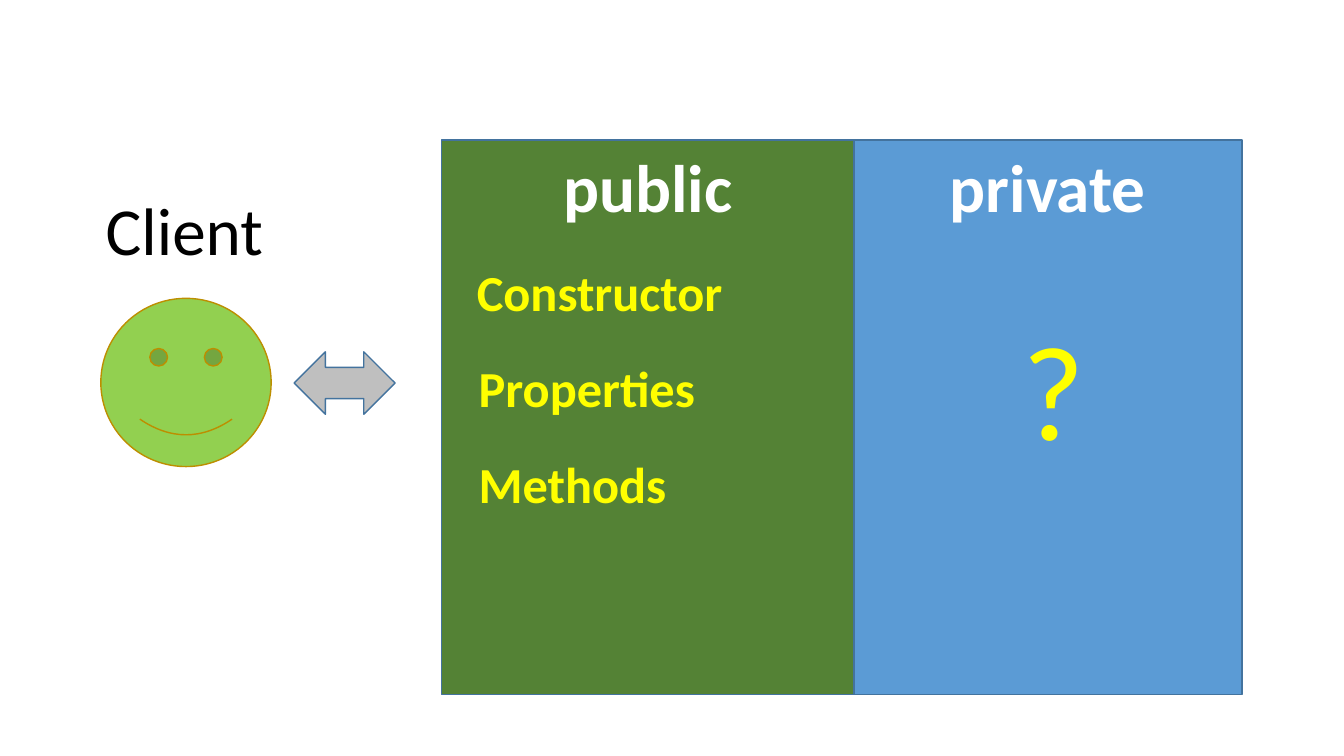
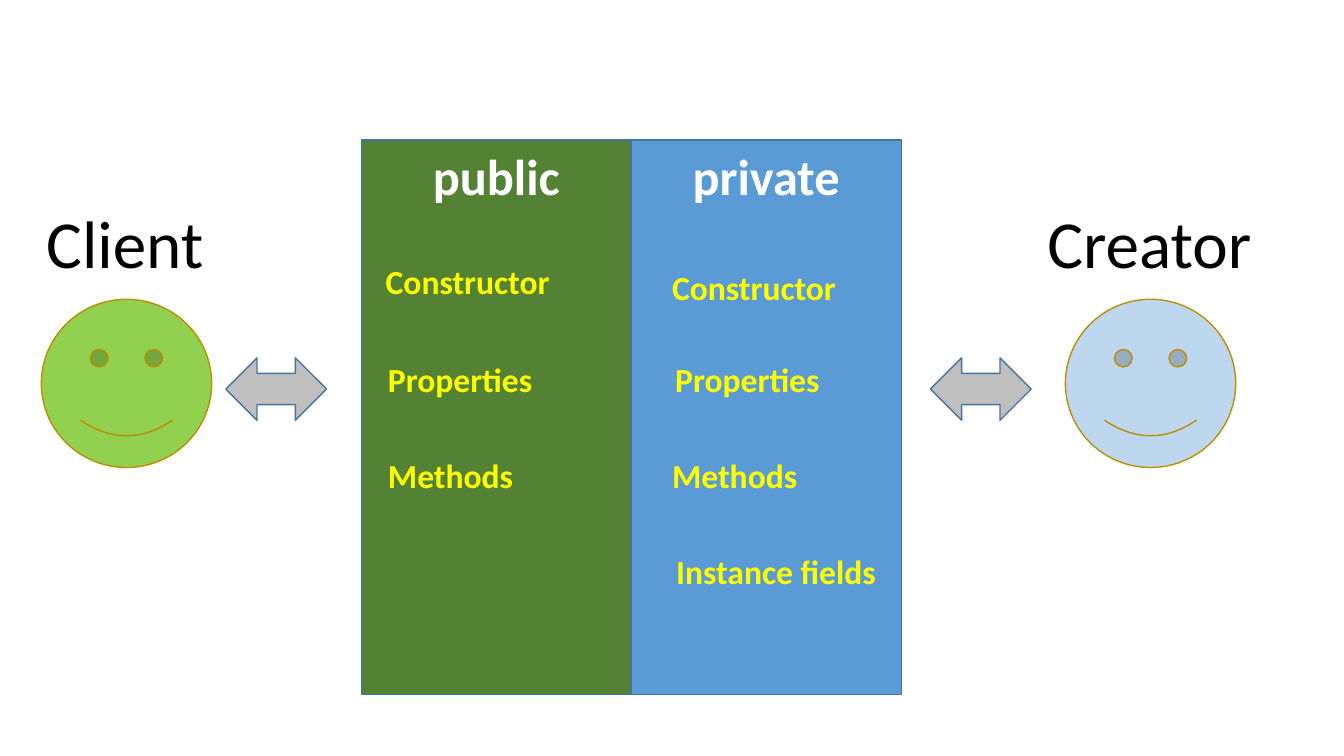
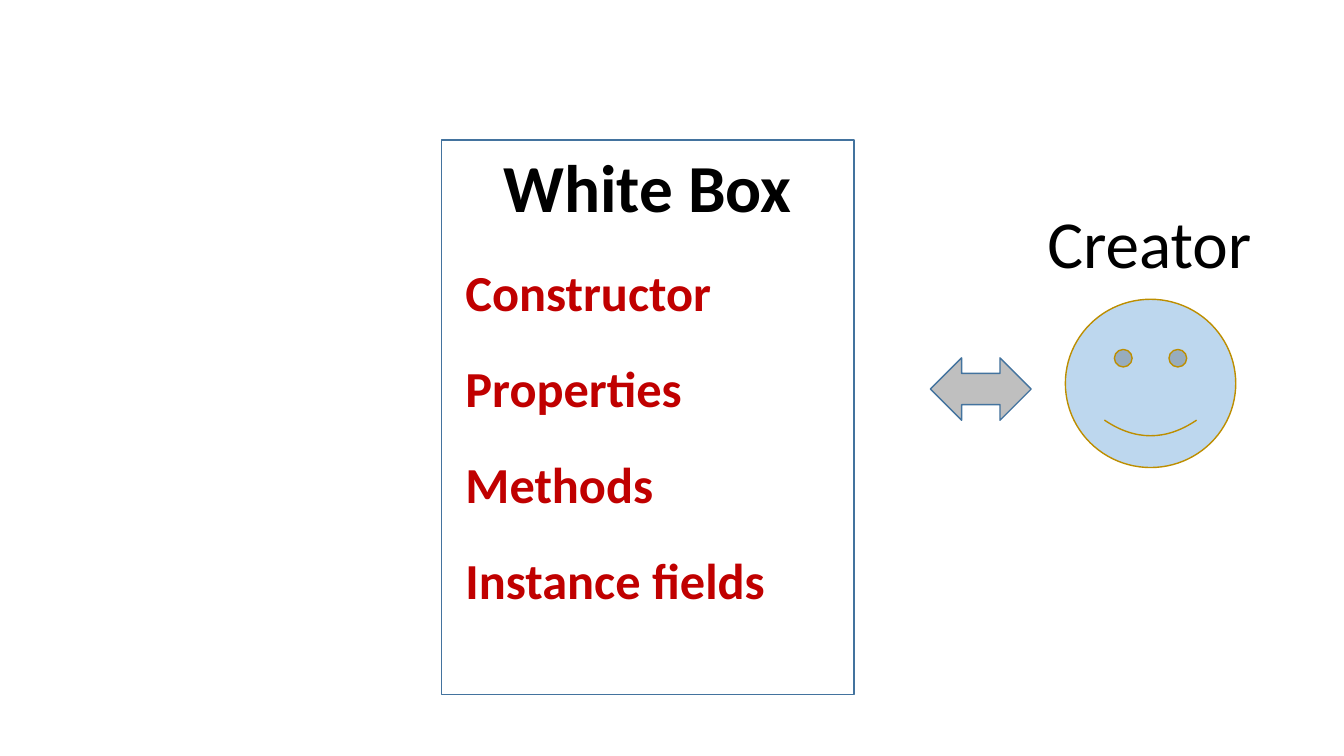
from pptx import Presentation
from pptx.dml.color import RGBColor
from pptx.enum.shapes import MSO_SHAPE
from pptx.enum.text import MSO_ANCHOR, MSO_AUTO_SIZE, PP_ALIGN
from pptx.util import Pt

COLORS = {
    "public": "548235", "private": "5B9BD5", "outline": "43739E",
    "client": "92D050", "creator": "BDD7EE", "face_line": "BD8E00",
    "arrow": "BFBFBF", "white": "FFFFFF", "black": "000000",
    "yellow": "FFFF00", "red": "C00000",
}
FONT = "Calibri"
PANEL_TOP, PANEL_HEIGHT = 100, 396
FACE_SIZE = (121.7, 120.2)
ARROW_SIZE = (72, 44.6)

# Text widths in ems, so a box can be sized for any font size
EMS = {"Constructor": 4.94, "Properties": 4.35, "Methods": 3.78,
       "Instance fields": 6.15, "Client": 2.37, "Creator": 3.08, "?": 1.02}

# Person: name, fill, then left and top of face, label and arrow
CREATOR = ("Creator", "creator", (761, 213.8), (741, 140.4), (664.6, 255.6))

# Panel: title, fill, left, width, title colour
# Member: text, left, top
SLIDES = [
    {
        "title_size": 48, "member_size": 36, "member_color": "yellow",
        "panels": [("public", "public", 315.4, 294.5, "white"),
                   ("private", "private", 609.9, 277.2, "white")],
        "people": [("Client", "client", (72, 213.1), (68.4, 131), (210.2, 251.3))],
        "members": [("Constructor", 333.5, 182.9), ("Properties", 334.8, 251.3),
                    ("Methods", 334.8, 319.9)],
        "question": (723.6, 215.3),
    },
    {
        "title_size": 36, "member_size": 24, "member_color": "yellow",
        "panels": [("public", "public", 258.3, 192.5, "white"),
                   ("private", "private", 450.8, 193, "white")],
        "people": [("Client", "client", (29.5, 213.8), (25.9, 140.4), (161.3, 255.6)),
                   CREATOR],
        "members": [("Constructor", 268.4, 182.9), ("Properties", 270, 252.7),
                    ("Methods", 270, 321.3),
                    ("Constructor", 473, 187.2), ("Properties", 475.2, 252.7),
                    ("Methods", 473, 321.3), ("Instance fields", 475.9, 390.2)],
    },
    {
        "title_size": 48, "member_size": 36, "member_color": "red",
        "panels": [("White Box", None, 315.4, 294.5, "black")],
        "people": [CREATOR],
        "members": [(text, 325.4, 182.9 + 68.6 * i) for i, text in enumerate(
            ["Constructor", "Properties", "Methods", "Instance fields"])],
    },
]


def add_filled(s, preset, position, size, fill, line):
    sp = s.shapes.add_shape(preset, *map(Pt, (*position, *size)))
    sp.shadow.inherit = False
    if fill:
        sp.fill.solid()
        sp.fill.fore_color.rgb = RGBColor.from_string(COLORS[fill])
    else:
        sp.fill.background()
    sp.line.color.rgb = RGBColor.from_string(COLORS[line])
    sp.line.width = Pt(1)
    return sp


def add_text(s, text, position, size, color, bold=False, panel=None):
    """Write text centred in a panel, or in a new box sized to fit it."""
    if panel is None:
        extent = (EMS[text] * size + 14.4, 1.22 * size + 7.2)
        sp = s.shapes.add_textbox(*map(Pt, (*position, *extent)))
        sp.text_frame.word_wrap = False
        sp.text_frame.auto_size = MSO_AUTO_SIZE.SHAPE_TO_FIT_TEXT
    else:
        sp = panel
        sp.text_frame.word_wrap = True
    tf = sp.text_frame
    tf.vertical_anchor = MSO_ANCHOR.TOP
    p = tf.paragraphs[0]
    p.alignment = PP_ALIGN.CENTER if panel is not None else PP_ALIGN.LEFT
    r = p.add_run()
    r.text = text
    r.font.name = FONT
    r.font.size = Pt(size)
    r.font.bold = bold
    r.font.color.rgb = RGBColor.from_string(COLORS[color])


prs = Presentation()
prs.slide_width, prs.slide_height = Pt(960), Pt(540)

for content in SLIDES:
    s = prs.slides.add_slide(prs.slide_layouts[6])
    for title, fill, left, width, color in content["panels"]:
        panel = add_filled(s, MSO_SHAPE.RECTANGLE, (left, PANEL_TOP),
                           (width, PANEL_HEIGHT), fill, "outline")
        add_text(s, title, None, content["title_size"], color, True, panel)
    for name, fill, face, label, arrow in content["people"]:
        add_filled(s, MSO_SHAPE.SMILEY_FACE, face, FACE_SIZE, fill, "face_line")
        add_filled(s, MSO_SHAPE.LEFT_RIGHT_ARROW, arrow, ARROW_SIZE, "arrow", "outline")
        add_text(s, name, label, 48, "black")
    for text, left, top in content["members"]:
        add_text(s, text, (left, top), content["member_size"],
                 content["member_color"], True)
    if "question" in content:
        add_text(s, "?", content["question"], 96, "yellow")

prs.save("out.pptx")
